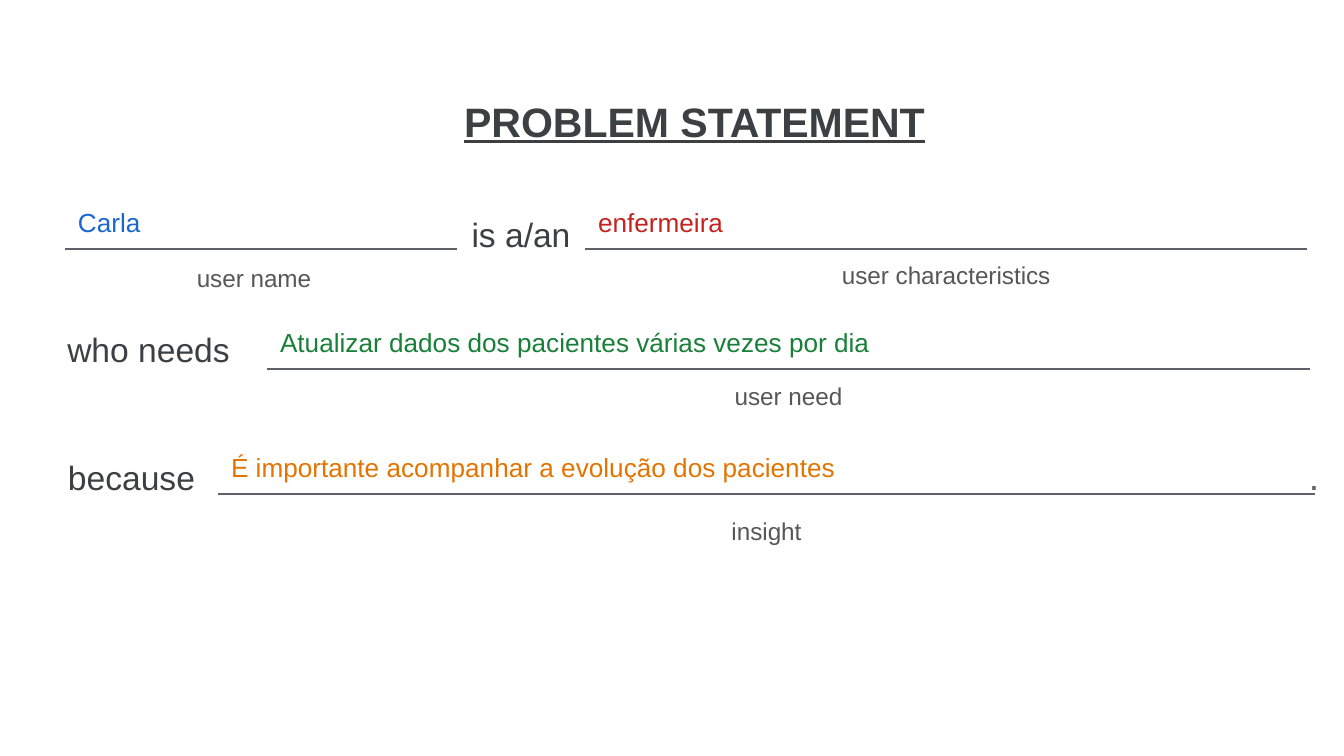
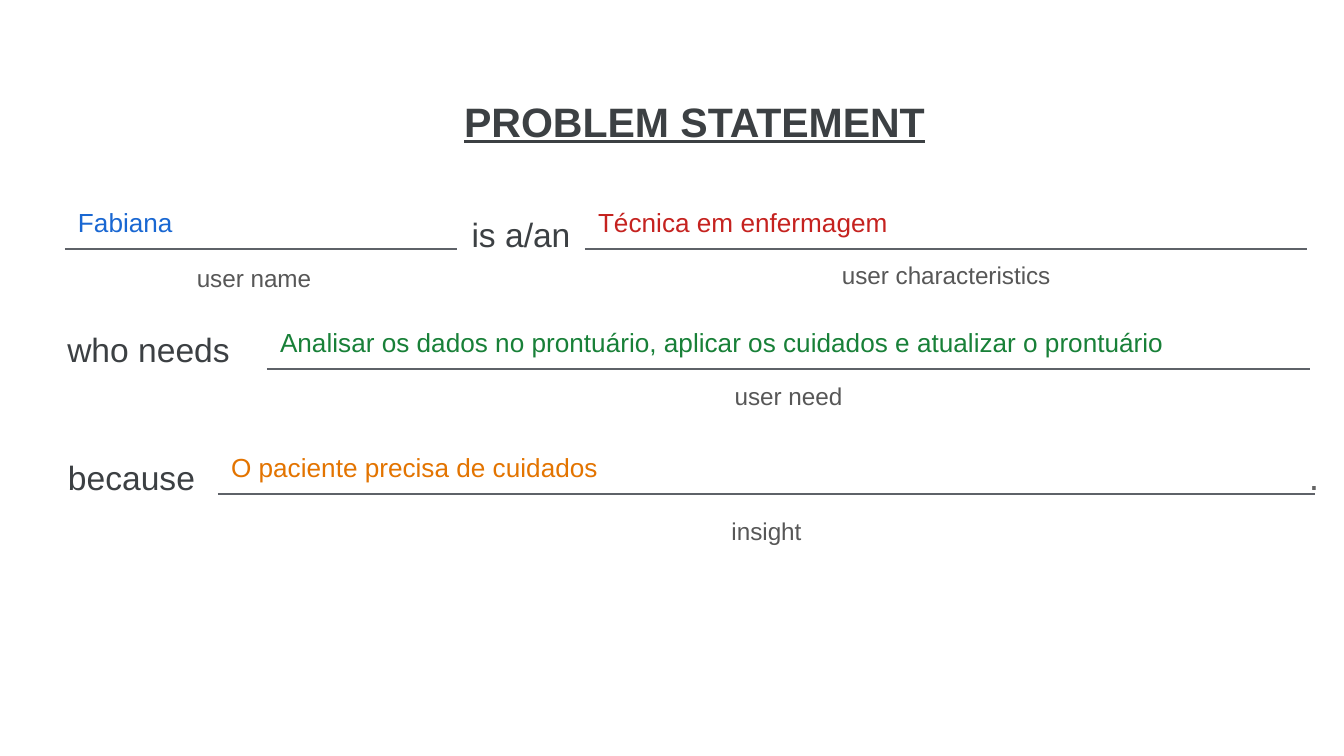
from dataclasses import dataclass

from lxml import etree
from pptx import Presentation
from pptx.dml.color import RGBColor
from pptx.enum.shapes import MSO_CONNECTOR
from pptx.enum.text import MSO_ANCHOR, MSO_AUTO_SIZE, PP_ALIGN
from pptx.oxml.ns import qn
from pptx.util import Pt

STRAIGHT = MSO_CONNECTOR.STRAIGHT
TOP = MSO_ANCHOR.TOP
NO_AUTOFIT = MSO_AUTO_SIZE.NONE
LEFT, CENTER = PP_ALIGN.LEFT, PP_ALIGN.CENTER

SLIDE_WIDTH, SLIDE_HEIGHT = 1344, 756
EMU_PER_PX = 9144000 / SLIDE_WIDTH
COMPARISON_LAYOUT = 4  # a title and four body placeholders

FONT = "Arial"
INSET, TIGHT_INSET = 13, 7
ANSWER_HEIGHT = 56

WHITE = RGBColor(0xFF, 0xFF, 0xFF)
DARK = RGBColor(0x3C, 0x40, 0x43)
CAPTION_GRAY = RGBColor(0x57, 0x57, 0x57)
PERIOD_GRAY = RGBColor(0x64, 0x64, 0x64)
RULE_GRAY = RGBColor(0x5E, 0x62, 0x68)
BLUE = RGBColor(0x19, 0x67, 0xD2)
RED = RGBColor(0xC5, 0x22, 0x1F)
GREEN = RGBColor(0x18, 0x80, 0x38)
ORANGE = RGBColor(0xE3, 0x74, 0x00)


@dataclass
class Blank:
    """A ruled gap in the sentence, with its answer above and caption below."""
    caption: str
    color: RGBColor
    left: int
    rule_y: int
    width: int
    caption_left: int
    caption_top: int
    caption_height: int


BLANKS = [
    Blank("user name", BLUE, 65, 249, 392, 58, 250, 47),
    Blank("user characteristics", RED, 585, 249, 722, 585, 247, 47),
    Blank("user need", GREEN, 267, 369, 1043, 267, 368, 70),
    Blank("insight", ORANGE, 218, 494, 1097, 218, 503, 85),
]

# text, box, size, color, alignment, inset
CONNECTING_WORDS = [
    ("is a/an", (457, 207, 128, 54), 18, DARK, CENTER, TIGHT_INSET),
    ("who needs", (12, 316, 273, 85), 18, DARK, CENTER, INSET),
    ("because", (12, 444, 239, 73), 18, DARK, CENTER, INSET),
    (".", (1302, 446, 43, 59), 20, PERIOD_GRAY, LEFT, TIGHT_INSET),
]

STATEMENTS = [
    ("Carla",
     "enfermeira",
     "Atualizar dados dos pacientes várias vezes por dia",
     "É importante acompanhar a evolução dos pacientes"),
    ("Fabiana",
     "Técnica em enfermagem",
     "Analisar os dados no prontuário, aplicar os cuidados e atualizar o prontuário",
     "O paciente precisa de cuidados"),
]


def px(length):
    return round(length * EMU_PER_PX)


def place(shape, left, top, width, height):
    shape.left, shape.top = px(left), px(top)
    shape.width, shape.height = px(width), px(height)


def write(shape, text, size, color, align=LEFT, inset=INSET):
    """Fill the shape with one top-anchored paragraph and return its run."""
    frame = shape.text_frame
    frame.word_wrap = True
    frame.auto_size = NO_AUTOFIT
    frame.vertical_anchor = TOP
    frame.margin_left = frame.margin_right = px(inset)
    frame.margin_top = frame.margin_bottom = px(inset)
    paragraph = frame.paragraphs[0]
    paragraph.alignment = align
    paragraph.space_before = Pt(0)
    run = paragraph.add_run()
    run.text = text
    run.font.name = FONT
    run.font.size = Pt(size)
    run.font.bold = False
    run.font.color.rgb = color
    return run


def remove_bullet(paragraph):
    properties = paragraph._p.get_or_add_pPr()
    properties.set("marL", "0")
    properties.set("indent", "0")
    etree.SubElement(properties, qn("a:buNone"))


def add_label(slide, text, box, size, color, align=CENTER, inset=INSET):
    label = slide.shapes.add_textbox(*map(px, box))
    write(label, text, size, color, align, inset)


def add_rule(slide, left, y, width):
    rule = slide.shapes.add_connector(
        STRAIGHT, px(left), px(y), px(left + width), px(y))
    rule.line.color.rgb = RULE_GRAY
    rule.line.width = Pt(1.5)
    etree.SubElement(rule._element.spPr, qn("a:effectLst"))


def set_title(slide):
    title = slide.shapes.title
    place(title, 58, 83, 1273, 73)
    title.fill.solid()
    title.fill.fore_color.rgb = WHITE
    run = write(title, "PROBLEM STATEMENT", 22, DARK, CENTER)
    run.font.bold = True
    run.font.underline = True


def fill_blank(slide, blank, placeholder, answer):
    add_rule(slide, blank.left, blank.rule_y, blank.width)
    add_label(slide, blank.caption,
              (blank.caption_left, blank.caption_top,
               blank.width, blank.caption_height),
              13, CAPTION_GRAY)
    place(placeholder, blank.left, blank.rule_y - ANSWER_HEIGHT,
          blank.width, ANSWER_HEIGHT)
    write(placeholder, answer, 14, blank.color)
    remove_bullet(placeholder.text_frame.paragraphs[0])


def add_statement(deck, answers):
    slide = deck.slides.add_slide(deck.slide_layouts[COMPARISON_LAYOUT])
    set_title(slide)
    for words in CONNECTING_WORDS:
        add_label(slide, *words)
    _, *bodies = slide.placeholders
    for blank, body, answer in zip(BLANKS, bodies, answers):
        fill_blank(slide, blank, body, answer)


def main():
    deck = Presentation()
    deck.slide_width, deck.slide_height = px(SLIDE_WIDTH), px(SLIDE_HEIGHT)
    for answers in STATEMENTS:
        add_statement(deck, answers)
    deck.save("out.pptx")


if __name__ == "__main__":
    main()
